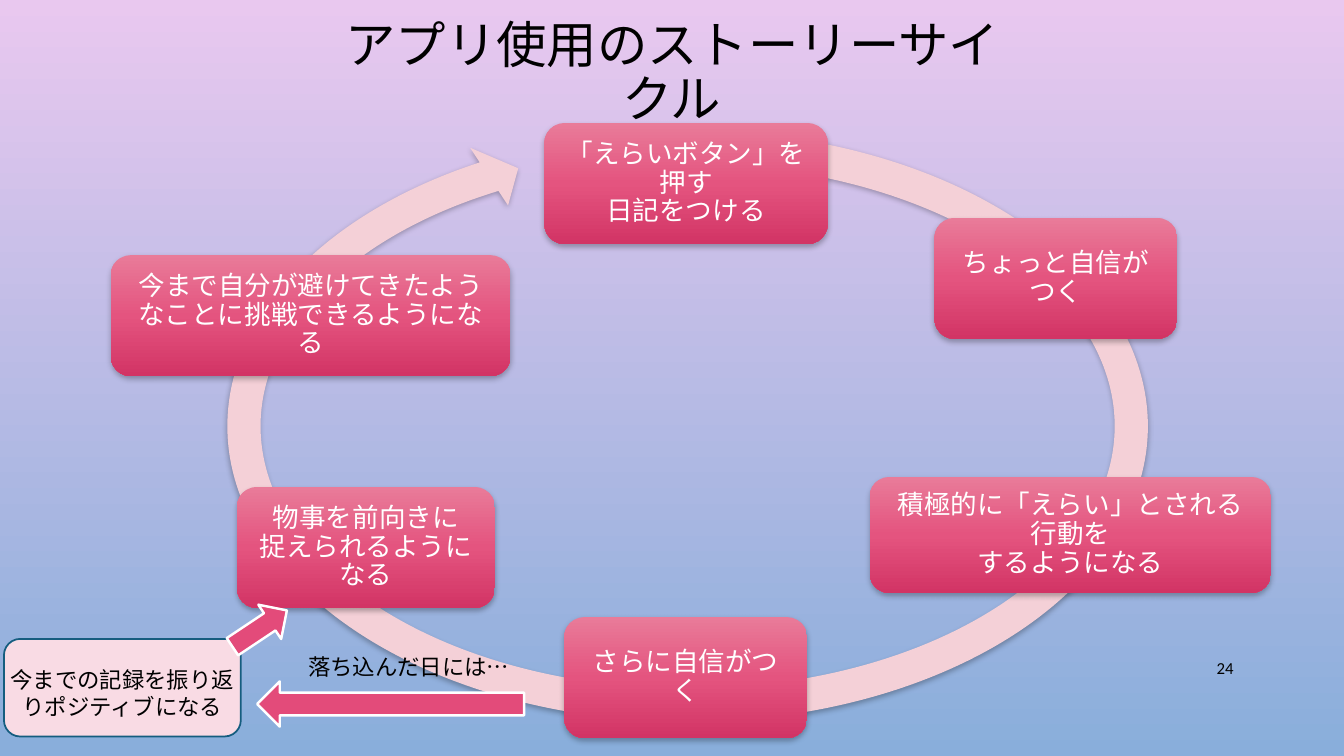
"""Build the slide that shows the story cycle of using the app."""
from copy import deepcopy

from lxml.etree import SubElement
from pptx import Presentation
from pptx.dml.color import RGBColor
from pptx.enum.shapes import MSO_SHAPE
from pptx.enum.text import MSO_ANCHOR, MSO_AUTO_SIZE, PP_ALIGN
from pptx.oxml.ns import qn
from pptx.util import Cm, Pt

FONT = "Calibri"
BLACK = RGBColor(0x00, 0x00, 0x00)
WHITE = RGBColor(0xFF, 0xFF, 0xFF)
RING_PINK = RGBColor(0xF4, 0xD0, 0xD7)
NOTE_PINK = RGBColor(0xF9, 0xDB, 0xE4)
NOTE_BORDER = RGBColor(0x15, 0x5D, 0x7F)
ARROW_PINK = RGBColor(0xE3, 0x4B, 0x7A)
SKY = (RGBColor(0xE9, 0xC8, 0xEF), RGBColor(0x89, 0xAE, 0xDB))
STEP_PINKS = (
    RGBColor(0xE9, 0x7B, 0x99),
    RGBColor(0xE4, 0x54, 0x7F),
    RGBColor(0xD2, 0x34, 0x65),
)

RING_ADJUSTMENTS = (0.053, 3.126, 138.896, 173.28, 0.055)
STEPS = (
    ("「えらいボタン」を押す\v日記をつける", 13.72, 3.1, 7.14, 3.05),
    ("ちょっと自信がつく", 23.55, 5.49, 6.12, 3.05),
    ("積極的に「えらい」とされる行動を\vするようになる", 21.92, 12.02, 10.11, 2.92),
    ("さらに自信がつく", 14.22, 15.55, 6.12, 3.05),
    ("物事を前向きに\v捉えられるようになる", 5.97, 12.27, 6.5, 3.05),
    ("今まで自分が避けてきたようなことに挑戦できるようになる", 2.79, 6.43, 10.08, 3.05),
)


def fill_gradient(fill, colors):
    """Fill from top to bottom with evenly spaced colours."""
    fill.gradient()
    fill.gradient_angle = 270
    first = fill.gradient_stops[0]._gs
    for _ in range(len(colors) - 2):
        first.addnext(deepcopy(first))
    for index, (stop, color) in enumerate(zip(fill.gradient_stops, colors)):
        stop.position = index / (len(colors) - 1)
        stop.color.rgb = color


def add_soft_shadow(shape):
    """Give a shape a faint shadow that falls straight down."""
    effects = shape._element.spPr.find(qn("a:effectLst"))
    shadow = SubElement(
        effects, qn("a:outerShdw"), blurRad=str(Pt(4)), dist=str(Pt(2)),
        dir="5400000", algn="ctr", rotWithShape="0",
    )
    color = SubElement(shadow, qn("a:srgbClr"), val=str(BLACK))
    SubElement(color, qn("a:alpha"), val="28000")


def write_text(shape, text, size, color, alignment, insets=None, spacing=None):
    """Write one wrapped, vertically centred paragraph."""
    frame = shape.text_frame
    frame.word_wrap = True
    frame.auto_size = MSO_AUTO_SIZE.NONE
    frame.vertical_anchor = MSO_ANCHOR.MIDDLE
    if insets:
        frame.margin_left, frame.margin_top, frame.margin_right, frame.margin_bottom = map(Cm, insets)
    frame.text = text
    paragraph = frame.paragraphs[0]
    paragraph.alignment = alignment
    if spacing:
        paragraph.line_spacing = spacing
    paragraph.font.name = FONT
    paragraph.font.size = Pt(size)
    paragraph.font.color.rgb = color


def add_figure(slide, kind, box, color=None, border=None, border_width=0):
    """Add a preset shape with a plain fill and an optional border."""
    shape = slide.shapes.add_shape(kind, *map(Cm, box))
    shape.shadow.inherit = False
    if color is not None:
        shape.fill.solid()
        shape.fill.fore_color.rgb = color
    if border is None:
        shape.line.fill.background()
    else:
        shape.line.color.rgb = border
        shape.line.width = Pt(border_width)
    return shape


def add_ring(slide):
    """Add the circular arrow behind the steps."""
    ring = add_figure(slide, MSO_SHAPE.CIRCULAR_ARROW, (5.28, 2.84, 24.1, 15.8), RING_PINK)
    for index, value in enumerate(RING_ADJUSTMENTS):
        ring.adjustments[index] = value
    add_soft_shadow(ring)


def add_step(slide, text, *box):
    """Add one step of the cycle."""
    step = add_figure(slide, MSO_SHAPE.ROUNDED_RECTANGLE, box)
    fill_gradient(step.fill, STEP_PINKS)
    add_soft_shadow(step)
    write_text(step, text, 19, WHITE, PP_ALIGN.CENTER, (0.35,) * 4, 0.9)


def add_note(slide, text, box):
    """Add the pale side note."""
    note = add_figure(slide, MSO_SHAPE.ROUNDED_RECTANGLE, box, NOTE_PINK, NOTE_BORDER, 1.25)
    write_text(note, text, 16, BLACK, PP_ALIGN.CENTER, (0, 0.25, 0, 0))


def add_arrow(slide, box, rotation):
    """Add a block arrow with a white border."""
    arrow = add_figure(slide, MSO_SHAPE.RIGHT_ARROW, box, ARROW_PINK, WHITE, 1.75)
    arrow.rotation = rotation


def add_label(slide, text, box, size, alignment):
    """Add a plain black text box."""
    label = slide.shapes.add_textbox(*map(Cm, box))
    write_text(label, text, size, BLACK, alignment)


def set_title(slide, text):
    """Place and format the title."""
    title = slide.shapes.title
    title.left, title.top, title.width, title.height = map(Cm, (8.13, 0.64, 17.6, 2.46))
    write_text(title, text, 36, BLACK, PP_ALIGN.CENTER, spacing=0.9)


def main():
    """Build and save the presentation."""
    presentation = Presentation()
    presentation.slide_width = Cm(33.87)
    presentation.slide_height = Cm(19.05)
    slide = presentation.slides.add_slide(presentation.slide_layouts[5])
    fill_gradient(slide.background.fill, SKY)
    set_title(slide, "アプリ使用のストーリーサイクル")
    add_ring(slide)
    for step in STEPS:
        add_step(slide, *step)
    add_label(slide, "落ち込んだ日には…", (7.52, 16.33, 5.59, 0.94), 16, PP_ALIGN.LEFT)
    add_note(slide, "今までの記録を振り返りポジティブになる", (0.1, 16.1, 5.97, 2.46))
    add_arrow(slide, (5.72, 15.32, 1.65, 1.04), 326.3)
    add_arrow(slide, (6.48, 17.17, 6.73, 1.14), 180)
    add_label(slide, "24", (29.21, 16.33, 2.13, 1.02), 12, PP_ALIGN.RIGHT)
    presentation.save("out.pptx")


if __name__ == "__main__":
    main()
